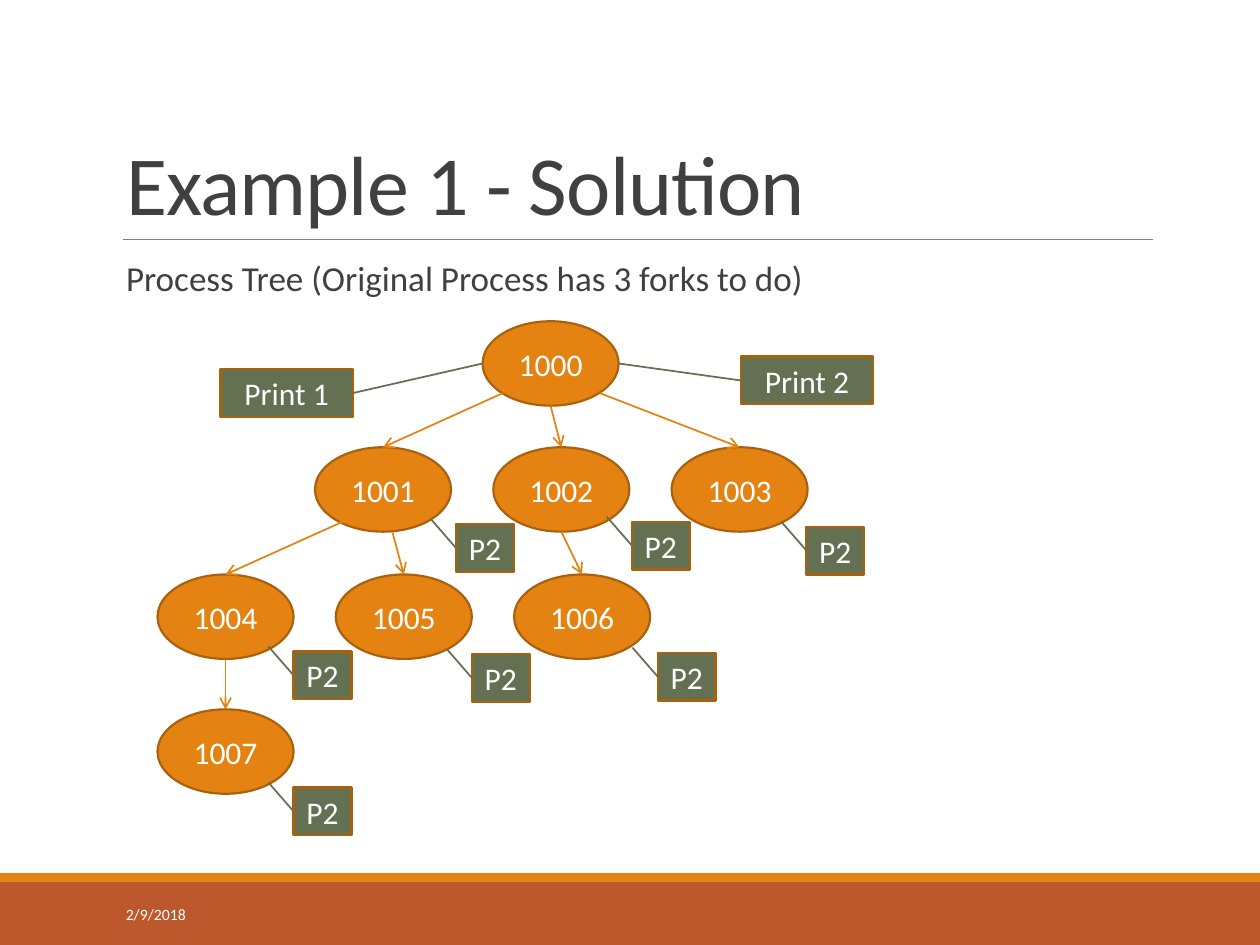
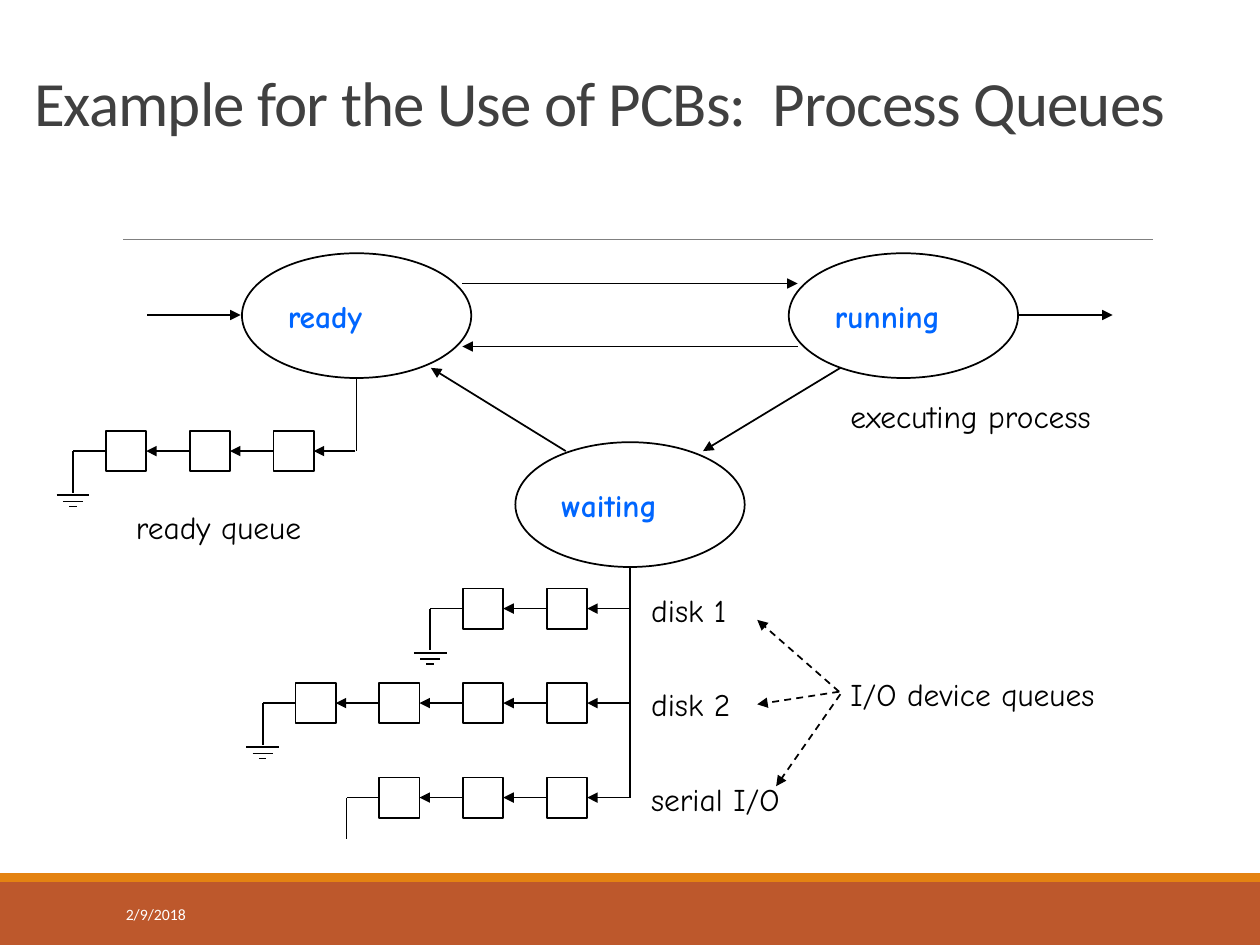
"""Build two slides: a process tree made by forks, and process queues."""
from dataclasses import dataclass
from lxml import etree
from pptx import Presentation, util as u
from pptx.dml import color
from pptx.enum import dml, shapes, text
from pptx.oxml import ns

BOX, OVAL = shapes.MSO_SHAPE.RECTANGLE, shapes.MSO_SHAPE.OVAL
LEFT, MID = text.PP_ALIGN.LEFT, text.PP_ALIGN.CENTER
TOP, WEST, EAST = 0, 1, 3


@dataclass(frozen=True)
class Theme:
    sans: str = "Calibri"
    hand: str = "Comic Neue"
    ink: str = "404040"
    white: str = "FFFFFF"
    black: str = "000000"
    blue: str = "0066FF"
    rust: str = "BD582C"
    gold: str = "E48312"
    edge: str = "A9610D"
    green: str = "637052"
    gray: str = "808080"
    head: int = 48
    long: int = 36
    body: int = 20
    label: int = 18
    small: int = 9


T = Theme()
WIDE, HIGH = 10, 7.5
DATE = "2/9/2018"

TREE = {
    "title": "Example 1 - Solution",
    "body": "Process Tree (Original Process has 3 forks to do)",
    "rows": [
        (3.83, 2.55, ["1000"]),
        (2.5, 3.55, ["1001", "1002", "1003"]),
        (1.25, 4.56, ["1004", "1005", "1006"]),
        (1.25, 5.63, ["1007"]),
    ],
    "forks": [
        ("1000", "1001", 0.15, 0.85), ("1000", "1002", 0.5, 1),
        ("1000", "1003", 0.86, 0.85), ("1001", "1004", 0.22, 0.87),
        ("1001", "1005", 0.57, 1.01), ("1002", "1006", 0.5, 1),
        ("1004", "1007", 0.5, 1),
    ],
    "tags": [
        ("1001", 1.12, 0.61), ("1002", 1.1, 0.59), ("1003", 1.07, 0.63),
        ("1004", 1.08, 0.61), ("1005", 1.08, 0.63), ("1006", 1.14, 0.62),
        ("1007", 1.08, 0.62),
    ],
    "prints": [("Print 1", 1.75, 2.93, EAST, 0), ("Print 2", 5.88, 2.83, WEST, 1)],
}
NODE, PITCH = (1.08, 0.67), 1.415
TAG, PRINT = (0.46, 0.38), (1.05, 0.38)

FLOW = {
    "title": "Example for the Use of PCBs:  Process Queues",
    "states": [("ready", 1.92, 2.01), ("running", 6.26, 2.01), ("waiting", 4.09, 3.51)],
    "moves": [
        (1.17, 2.5, 1.91, 2.5), (8.09, 2.5, 8.83, 2.5),
        (3.67, 2.25, 6.33, 2.25), (6.33, 2.75, 3.67, 2.75),
        (6.67, 2.92, 5.58, 3.58), (4.49, 3.58, 3.42, 2.92),
    ],
    "stems": [(2.83, 3.01, 2.83, 3.58), (5, 4.51, 5, 6.33)],
    "queues": [(2.17, 3.58, 3, True), (4.34, 4.83, 2, True),
               (4.34, 5.58, 4, True), (4.34, 6.33, 3, False)],
    "labels": [
        ("ready queue", 0.98, 3.98, 1.59), ("I/O device queues", 6.65, 5.31, 2.27),
        ("executing process", 6.65, 3.1, 2.22), ("disk 1", 5.07, 4.64, 0.82),
        ("disk 2", 5.07, 5.39, 0.87), ("serial I/O", 5.07, 6.14, 1.34),
    ],
    "hints": [(6.66, 5.49, 6.01, 4.92), (6.66, 5.49, 6.01, 5.59),
              (6.67, 5.51, 6.16, 6.24)],
}
STATE = (1.82, 0.99)
CELL, STEP = 0.32, 0.665
EARTH = [(0.35, 0.13), (0.4, 0.08), (0.44, 0.03), (0.49, 0)]


def rgb(hue):
    """Turn a hex string into a colour."""
    return color.RGBColor.from_string(hue)


def inch(*nums):
    """Turn numbers into inches."""
    return [u.Inches(n) for n in nums]


def write(shape, words, size, hue, font=T.sans, align=LEFT,
          anchor=text.MSO_ANCHOR.MIDDLE, wrap=False, bold=False):
    """Put one run of text into a shape and return its paragraph."""
    frame = shape.text_frame
    frame.auto_size = text.MSO_AUTO_SIZE.NONE
    frame.word_wrap, frame.vertical_anchor = wrap, anchor
    para = frame.paragraphs[0]
    para.alignment = align
    run = para.add_run()
    run.text = words
    run.font.name, run.font.size, run.font.bold = font, u.Pt(size), bold
    run.font.color.rgb = rgb(hue)
    return para


def form(tree, kind, x, y, size, fill, line=None, width=1.0):
    """Add a filled preset shape."""
    shape = tree.add_shape(kind, *inch(x, y, *size))
    shape.shadow.inherit = False
    shape.fill.solid()
    shape.fill.fore_color.rgb = rgb(fill)
    if line:
        shape.line.color.rgb = rgb(line)
        shape.line.width = u.Pt(width)
    else:
        shape.line.fill.background()
    return shape


def rule(tree, ends, hue=T.black, width=1.0, tip=None, dash=False):
    """Add a straight line, with an arrowhead at its end if asked."""
    wire = tree.add_connector(shapes.MSO_CONNECTOR.STRAIGHT, *inch(*ends))
    wire.line.color.rgb = rgb(hue)
    wire.line.width = u.Pt(width)
    if dash:
        wire.line.dash_style = dml.MSO_LINE.DASH
    props = wire._element.spPr
    if tip:
        etree.SubElement(props.find(ns.qn("a:ln")), ns.qn("a:tailEnd"), type=tip)
    etree.SubElement(props, ns.qn("a:effectLst"))
    return wire


def place(shape, x, y, w, h):
    """Move and size a placeholder."""
    shape.left, shape.top, shape.width, shape.height = inch(x, y, w, h)


def start(deck, layout, title, spot, size):
    """Add a slide with its title and date."""
    slide = deck.slides.add_slide(deck.slide_layouts[layout])
    head = slide.shapes.title
    place(head, *spot)
    para = write(head, title, size, T.ink, anchor=text.MSO_ANCHOR.BOTTOM, wrap=True)
    para.line_spacing = 0.85
    para.runs[0].font._element.set("spc", "-50")
    date = slide.shapes.add_textbox(*inch(0.9, 7.06, 2.03, 0.4))
    write(date, DATE, T.small, T.white, wrap=True)
    return slide


def brand(deck, slide):
    """Draw the bands and title rule, and move them to the master."""
    tree = slide.shapes
    parts = [
        form(tree, BOX, 0, 7, (WIDE, 0.5), T.rust),
        form(tree, BOX, 0, 6.93, (WIDE, 0.07), T.gold),
        rule(tree, (0.98, 1.9, 9.15, 1.9), T.gray, 0.5),
    ]
    for part in parts:
        deck.slide_master.shapes._spTree.append(part._element)


def badge(tree, kind, words, x, y, size, fill):
    """Add a tree shape with centred white text."""
    shape = form(tree, kind, x, y, size, fill, T.edge, 1.25)
    write(shape, words, T.label, T.white, align=MID)
    return shape


def draw_tree(slide):
    """Draw the process tree."""
    tree, body = slide.shapes, slide.placeholders[1]
    place(body, 0.9, 2.02, 8.25, 4.4)
    para = write(body, TREE["body"], T.body, T.ink,
                 anchor=text.MSO_ANCHOR.TOP, wrap=True)
    para.line_spacing, para.space_before, para.space_after = 0.9, u.Pt(12), u.Pt(2)
    body.text_frame.margin_left = body.text_frame.margin_right = 0
    props = para._p.get_or_add_pPr()
    props.set("marL", str(u.Inches(0.1)))
    props.set("indent", "0")
    etree.SubElement(props, ns.qn("a:buNone"))

    nodes, spots = {}, {}
    for left, y, names in TREE["rows"]:
        for col, name in enumerate(names):
            spots[name] = x, y = left + col * PITCH, y
            nodes[name] = badge(tree, OVAL, name, x, y, NODE, T.gold)
    for top, low, across, down in TREE["forks"]:
        x, y = spots[top]
        x, y = x + across * NODE[0], y + down * NODE[1]
        rule(tree, (x, y, x, y), T.gold, tip="arrow").end_connect(nodes[low], TOP)
    for name, right, down in TREE["tags"]:
        x, y = spots[name][0] + right, spots[name][1] + down
        tag = badge(tree, BOX, "P2", x, y, TAG, T.green)
        rule(tree, (x - 0.2, y - 0.04, x, y), T.green).end_connect(tag, WEST)
    x, y = spots["1000"]
    for words, left, top, side, share in TREE["prints"]:
        note = badge(tree, BOX, words, left, top, PRINT, T.green)
        ends = (x + share * NODE[0], y + NODE[1] / 2, left, top)
        rule(tree, ends, T.green).end_connect(note, side)


def draw_queue(tree, left, y, count, earth):
    """Draw a queue from its first cell leftwards, with its ground sign."""
    last = None
    for col in range(count):
        x = left - col * STEP
        cell = form(tree, BOX, x, y - CELL / 2, (CELL, CELL), T.white, T.black)
        wire = rule(tree, (x + 0.65, y, x + CELL, y), tip="triangle")
        if last:
            wire.begin_connect(last, WEST)
        wire.end_connect(cell, EAST)
        last = cell
    foot = x - 0.26
    rule(tree, (x, y, foot, y)).begin_connect(last, WEST)
    rule(tree, (foot, y, foot, y + 0.33))
    if earth:
        sign = tree.add_group_shape().shapes
        for drop, half in EARTH:
            rule(sign, (foot - half, y + drop, foot + half, y + drop))


def draw_flow(slide):
    """Draw the process states and their queues."""
    tree = slide.shapes
    for words, x, y in FLOW["states"]:
        state = form(tree, OVAL, x, y, STATE, T.white, T.black)
        write(state, words, T.label, T.blue, T.hand, bold=True)
    for ends in FLOW["moves"]:
        rule(tree, ends, tip="triangle")
    for ends in FLOW["stems"]:
        rule(tree, ends)
    for queue in FLOW["queues"]:
        draw_queue(tree, *queue)
    for words, x, y, w in FLOW["labels"]:
        label = tree.add_textbox(*inch(x, y, w, 0.4))
        write(label, words, T.label, T.black, T.hand, anchor=text.MSO_ANCHOR.TOP)
    for ends in FLOW["hints"]:
        rule(tree, ends, tip="triangle", dash=True)


def main():
    """Build and save the deck."""
    deck = Presentation()
    deck.slide_width, deck.slide_height = inch(WIDE, HIGH)
    first = start(deck, 1, TREE["title"], (0.9, 0.31, 8.25, 1.59), T.head)
    brand(deck, first)
    draw_tree(first)
    draw_flow(start(deck, 5, FLOW["title"], (0.17, 0.33, 9.58, 0.83), T.long))
    deck.save("out.pptx")


if __name__ == "__main__":
    main()
